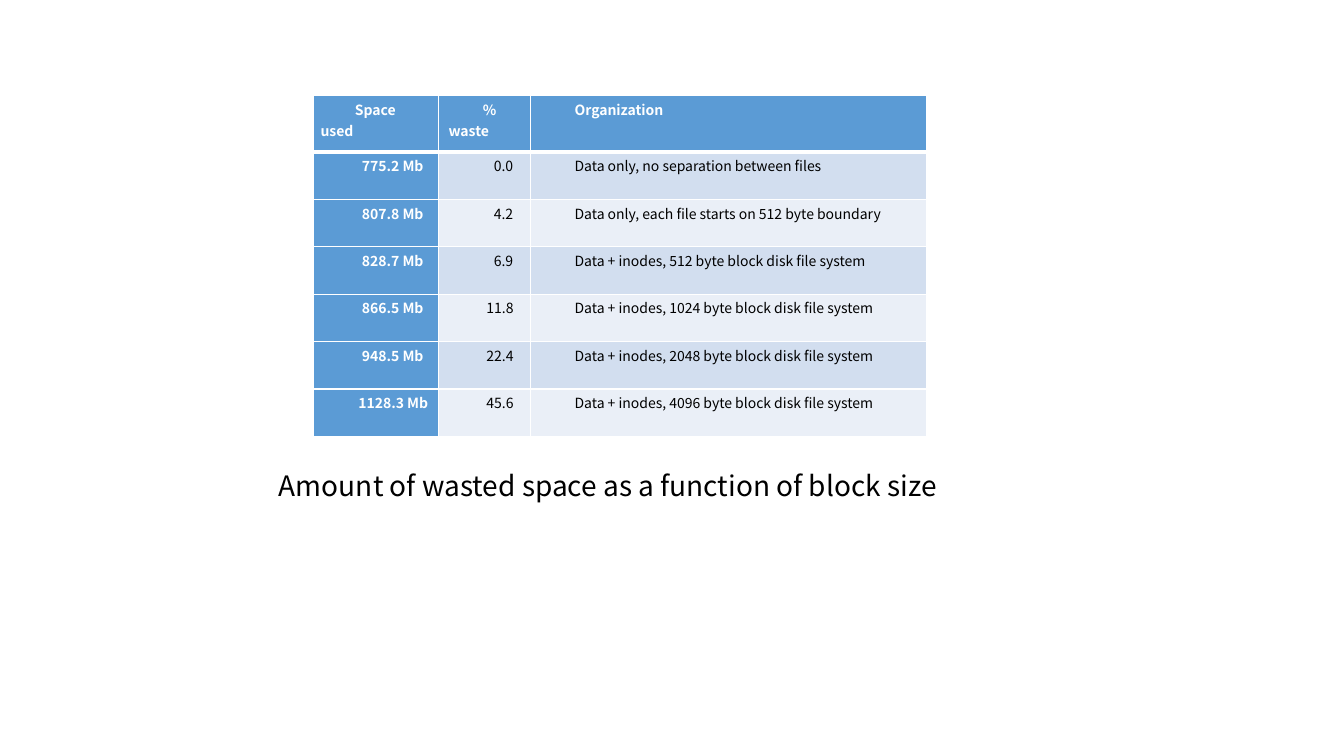
"""Build a slide with a table of wasted disk space by block size."""
from lxml import etree
from pptx import Presentation
from pptx.dml.color import RGBColor
from pptx.enum import text
from pptx.oxml import ns
from pptx.util import Inches, Pt

FONT = "Noto Sans CJK SC"
WHITE = RGBColor(0xFF, 0xFF, 0xFF)
BLACK = RGBColor(0, 0, 0)
BLUE = RGBColor(0x5B, 0x9B, 0xD5)
BANDS = [RGBColor(0xEA, 0xEF, 0xF7), RGBColor(0xD2, 0xDE, 0xEF)]
COLUMN_WIDTHS = [1.24, 0.91, 3.93]
LONG_VALUE_LENGTHS = [9, 5, 99]
HEADER_INDENTS = [0, 0.03, 0.03]
BODY_INDENTS = [0.07, 0.07, 0.03]
HEADER_HEIGHT, ROW_HEIGHT = 0.56, 0.47
ROWS = [
    ("Space used", "% waste", "Organization"),
    ("775.2 Mb", "0.0 ", "Data only, no separation between files"),
    ("807.8 Mb", "4.2 ", "Data only, each file starts on 512 byte boundary"),
    ("828.7 Mb", "6.9 ", "Data + inodes, 512 byte block disk file system"),
    ("866.5 Mb", "11.8 ", "Data + inodes, 1024 byte block disk file system"),
    ("948.5 Mb", "22.4 ", "Data + inodes, 2048 byte block disk file system"),
    ("1128.3 Mb", "45.6 ", "Data + inodes, 4096 byte block disk file system"),
]


def add_border(cell, side, width):
    properties = cell._tc.get_or_add_tcPr()
    line = etree.SubElement(properties, ns.qn(f"a:{side}"), w=str(Pt(width)))
    fill = etree.SubElement(line, ns.qn("a:solidFill"))
    etree.SubElement(fill, ns.qn("a:srgbClr"), val=str(WHITE))


def style_paragraph(paragraph, size, color, bold, spacing):
    paragraph.font.name = FONT
    paragraph.font.size = Pt(size)
    paragraph.font.bold = bold
    paragraph.font.color.rgb = color
    paragraph.line_spacing = spacing


presentation = Presentation()
presentation.slide_width = Inches(13.33)
presentation.slide_height = Inches(7.5)
slide = presentation.slides.add_slide(presentation.slide_layouts[5])

title = slide.shapes.title
title.left, title.top = Inches(0.25), Inches(4.11)
title.width, title.height = Inches(11.5), Inches(1.45)
title.text_frame.text = " Amount of wasted space as a function of block size"
title.text_frame.vertical_anchor = text.MSO_ANCHOR.MIDDLE
title_paragraph = title.text_frame.paragraphs[0]
title_paragraph.alignment = text.PP_ALIGN.CENTER
style_paragraph(title_paragraph, 20, BLACK, False, 0.9)

table = slide.shapes.add_table(
    len(ROWS), len(COLUMN_WIDTHS), Inches(3.11), Inches(0.95), Inches(6.08), Inches(3.38)
).table
table.first_col = True
for column, width in zip(table.columns, COLUMN_WIDTHS):
    column.width = Inches(width)

for row_index, values in enumerate(ROWS):
    is_header = row_index == 0
    table.rows[row_index].height = Inches(HEADER_HEIGHT if is_header else ROW_HEIGHT)
    for column_index, value in enumerate(values):
        cell = table.cell(row_index, column_index)
        is_heading = is_header or column_index == 0
        is_long = not is_header and len(value) >= LONG_VALUE_LENGTHS[column_index]
        cell.margin_left = cell.margin_right = Inches(0.07)
        cell.margin_top, cell.margin_bottom = Inches(0.02), 0
        for side in ("lnL", "lnR", "lnT", "lnB"):
            is_header_rule = (row_index, side) in ((0, "lnB"), (1, "lnT"))
            add_border(cell, side, 3 if is_header_rule else 1)
        cell.fill.solid()
        cell.fill.fore_color.rgb = BLUE if is_heading else BANDS[row_index % 2]

        cell.text = value
        paragraph = cell.text_frame.paragraphs[0]
        style_paragraph(paragraph, 10, WHITE if is_heading else BLACK, is_heading, 1.07)
        paragraph.space_before = Pt(6)
        if is_long or (column_index == 1 and not is_header):
            paragraph.alignment = text.PP_ALIGN.CENTER
        indents = HEADER_INDENTS if is_header else BODY_INDENTS
        left_indent = 0 if is_long else indents[column_index]
        paragraph_properties = paragraph._p.get_or_add_pPr()
        paragraph_properties.set("marL", str(Inches(left_indent)))
        paragraph_properties.set("indent", str(Inches(0.34)))

presentation.save("out.pptx")
